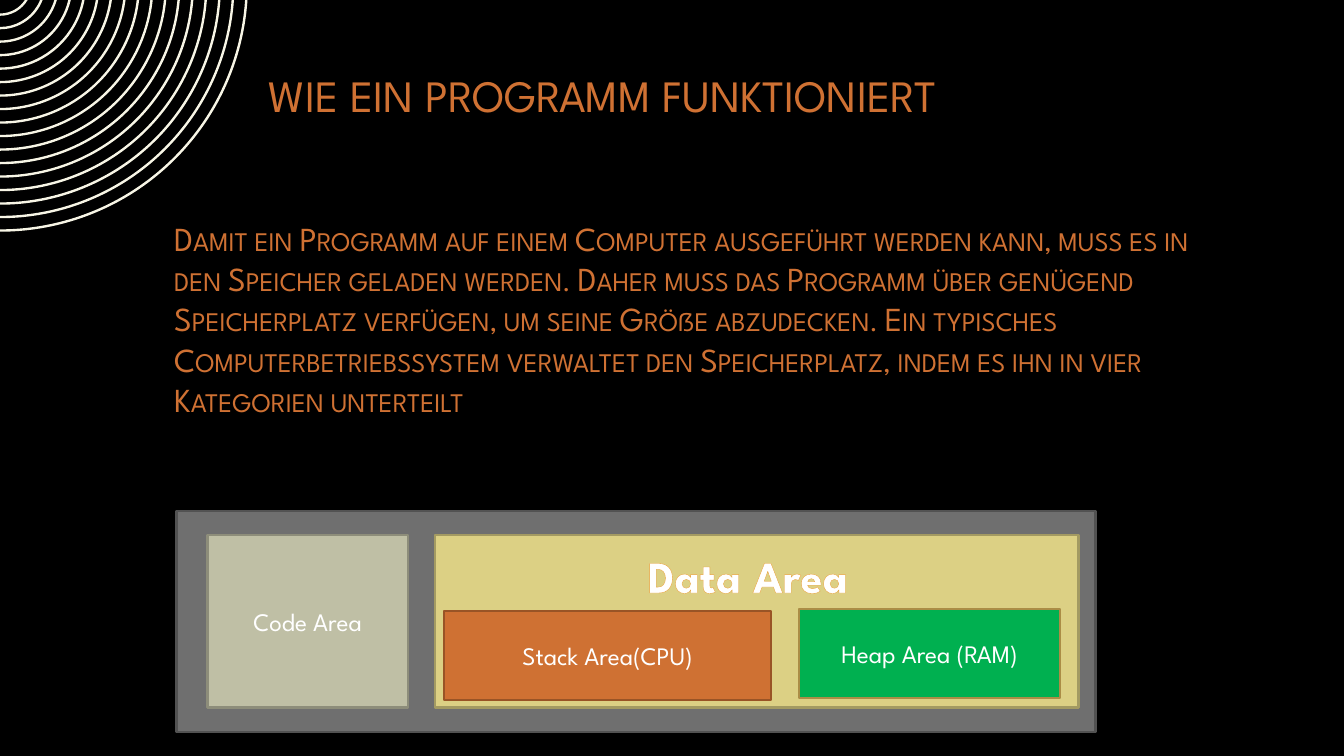
from dataclasses import dataclass
from math import acos, degrees, sqrt

from lxml import etree
from pptx import Presentation
from pptx.dml.color import RGBColor
from pptx.enum.shapes import MSO_SHAPE
from pptx.enum.text import MSO_ANCHOR, PP_ALIGN
from pptx.oxml.ns import qn
from pptx.util import Cm, Pt

RECTANGLE = MSO_SHAPE.RECTANGLE
TOP, MIDDLE = MSO_ANCHOR.TOP, MSO_ANCHOR.MIDDLE
LEFT, CENTER = PP_ALIGN.LEFT, PP_ALIGN.CENTER

FONT = "League Spartan"
COLORS = {
    "background": "000000", "rings": "F8F6E6", "orange": "CF7133", "white": "FFFFFF",
    "memory": "6F6F6F", "memory_edge": "525252",
    "code": "BFBFA5", "code_edge": "8D8D7A",
    "data": "DCD084", "data_edge": "A39A62",
    "heap": "00B050", "heap_edge": "AB8D46",
    "stack_edge": "995426", "text_edge": "E9A039",
}

# Quarter rings, in centimetres
RING_COUNT = 17
RING_STEP = 0.34
RING_WIDTH = 0.06
OUTER_RADIUS = 6.25
CENTER_ABOVE_EDGE = 0.41
ANGLE_UNITS = 60000


@dataclass
class Area:
    label: str
    left: float
    top: float
    width: float
    height: float
    fill: str
    edge: str


AREAS = [
    Area("", 4.45, 12.88, 23.16, 5.56, "memory", "memory_edge"),
    Area("Code Area", 5.23, 13.49, 5.05, 4.34, "code", "code_edge"),
    Area("", 10.97, 13.49, 16.21, 4.34, "data", "data_edge"),
    Area("Heap Area (RAM)", 20.14, 15.34, 6.58, 2.24, "heap", "heap_edge"),
    Area("Stack Area(CPU)", 11.2, 15.39, 8.23, 2.24, "orange", "stack_edge"),
]

BODY = (
    "Damit ein Programm auf einem Computer ausgeführt werden kann, muss es in den "
    "Speicher geladen werden. Daher muss das Programm über genügend Speicherplatz "
    "verfügen, um seine Größe abzudecken. Ein typisches Computerbetriebssystem "
    "verwaltet den Speicherplatz, indem es ihn in vier Kategorien unterteilt"
)


def rgb(name: str) -> RGBColor:
    return RGBColor.from_string(COLORS[name])


def write(shape, text: str, *, size: float, color: str = "white", align=CENTER,
          anchor=MIDDLE, bold: bool = False, small_caps: bool = False,
          wrap: bool = True, outline: str = "") -> None:
    frame = shape.text_frame
    frame.word_wrap = wrap
    frame.vertical_anchor = anchor
    para = frame.paragraphs[0]
    para.alignment = align
    span = para.add_run()
    span.text = text
    span.font.name = FONT
    span.font.size = Pt(size)
    span.font.bold = bold
    span.font.color.rgb = rgb(color)
    properties = span.font._element
    if small_caps:
        properties.set("cap", "small")
    if outline:
        line = etree.Element(qn("a:ln"), w=str(Pt(0.8)))
        fill = etree.SubElement(line, qn("a:solidFill"))
        etree.SubElement(fill, qn("a:srgbClr"), val=COLORS[outline])
        properties.insert(0, line)


def add_text(shapes, left: float, top: float, width: float, height: float,
             text: str, **text_format) -> None:
    box = shapes.add_textbox(Cm(left), Cm(top), Cm(width), Cm(height))
    write(box, text, **text_format)


def add_area(shapes, area: Area) -> None:
    box = shapes.add_shape(RECTANGLE, Cm(area.left), Cm(area.top),
                           Cm(area.width), Cm(area.height))
    box.shadow.inherit = False
    box.fill.solid()
    box.fill.fore_color.rgb = rgb(area.fill)
    box.line.color.rgb = rgb(area.edge)
    box.line.width = Pt(1.5)
    if area.label:
        write(box, area.label, size=18)


def arc_ends(radius: float) -> list[tuple[int, int]]:
    """Where a circle meets the left and the top slide edge."""
    return [(0, Cm(radius - CENTER_ABOVE_EDGE)),
            (Cm(sqrt(radius ** 2 - CENTER_ABOVE_EDGE ** 2)), 0)]


def bend(segment, radius: float, inward: bool) -> None:
    """Turn a straight segment into an arc between the two slide edges."""
    sweep = degrees(acos(CENTER_ABOVE_EDGE / radius))
    start, swing = (90 - sweep, sweep) if inward else (90, -sweep)
    curve = etree.Element(qn("a:arcTo"), wR=str(Cm(radius)), hR=str(Cm(radius)),
                          stAng=str(round(start * ANGLE_UNITS)),
                          swAng=str(round(swing * ANGLE_UNITS)))
    segment.getparent().replace(segment, curve)


def add_rings(shapes) -> None:
    radii = [OUTER_RADIUS - index * RING_STEP for index in range(RING_COUNT)]
    builder = shapes.build_freeform(*arc_ends(OUTER_RADIUS)[0])
    for index, radius in enumerate(radii):
        corners = arc_ends(radius) + arc_ends(radius - RING_WIDTH)[::-1]
        if index:
            builder.move_to(*corners[0])
        builder.add_line_segments(corners[1:], close=True)
    rings = builder.convert_to_shape()
    segments = list(rings._element.iter(qn("a:lnTo")))
    for radius, outer, inner in zip(radii, segments[::3], segments[2::3]):
        bend(outer, radius, inward=False)
        bend(inner, radius - RING_WIDTH, inward=True)
    rings.shadow.inherit = False
    rings.fill.solid()
    rings.fill.fore_color.rgb = rgb("rings")
    rings.line.fill.background()


def main() -> None:
    deck = Presentation()
    deck.slide_width, deck.slide_height = Cm(33.87), Cm(19.05)
    page = deck.slides.add_slide(deck.slide_layouts[6])
    page.background.fill.solid()
    page.background.fill.fore_color.rgb = rgb("background")

    # Corner decoration, title and explanation
    add_rings(page.shapes)
    add_text(page.shapes, 6.53, 1.32, 20.93, 2.13, "WIE EIN PROGRAMM FUNKTIONIERT",
             size=32, color="orange", align=LEFT)
    add_text(page.shapes, 4.14, 5.36, 26.47, 5.79, BODY, size=24, color="orange",
             align=LEFT, anchor=TOP, small_caps=True)

    # Memory diagram
    diagram = page.shapes.add_group_shape().shapes
    for area in AREAS:
        add_area(diagram, area)
    add_text(diagram, 16.03, 13.69, 5.64, 1.63, "Data Area", size=32, bold=True,
             anchor=TOP, wrap=False, outline="text_edge")

    deck.save("out.pptx")


if __name__ == "__main__":
    main()
